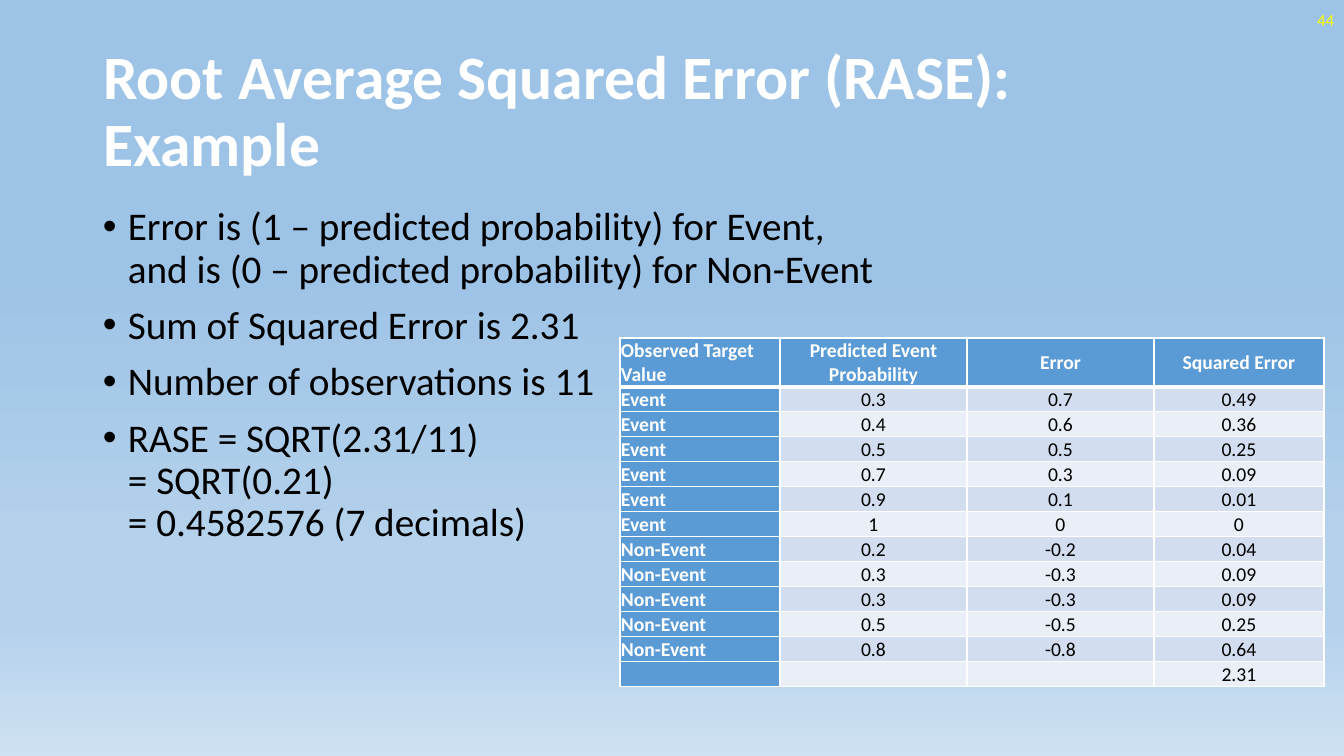
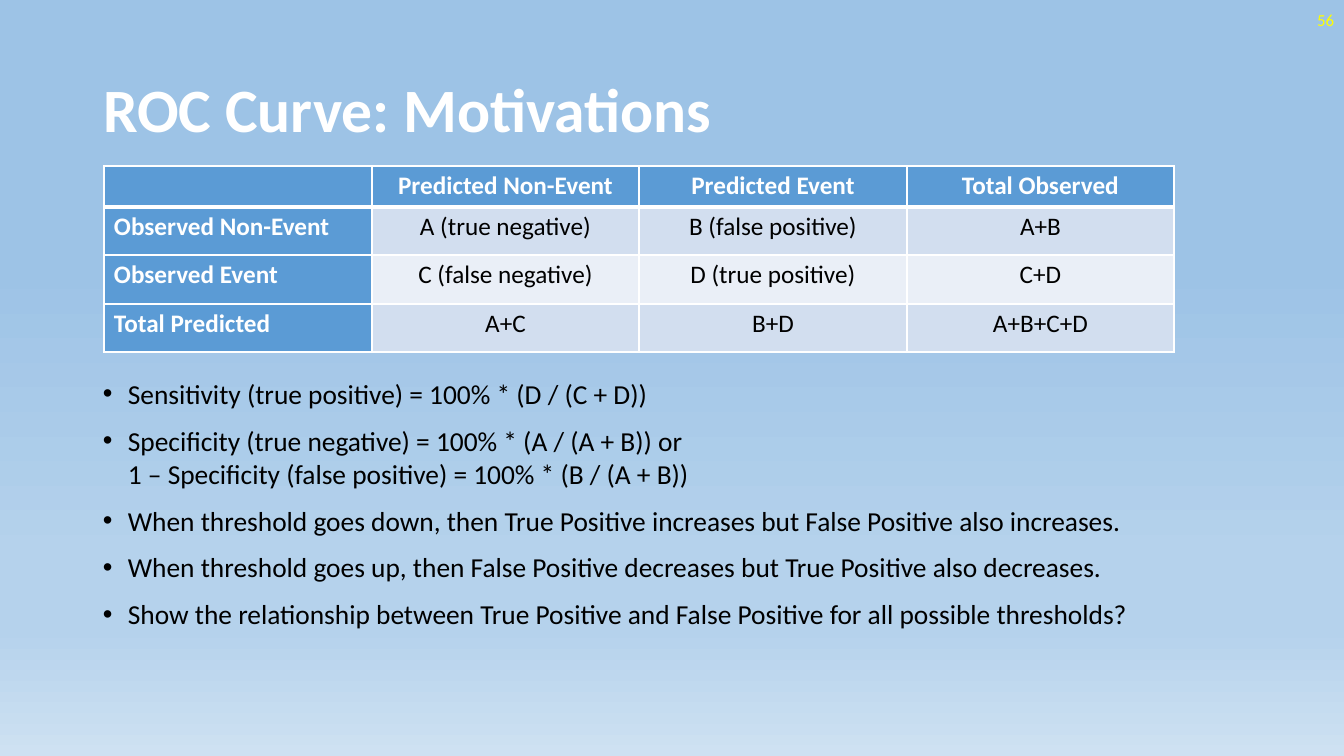
from lxml.etree import SubElement
from pptx import Presentation
from pptx.dml.color import RGBColor
from pptx.enum.text import MSO_ANCHOR, MSO_AUTO_SIZE, PP_ALIGN
from pptx.oxml.ns import qn
from pptx.util import Pt

WIDTH, HEIGHT = 1344, 756
SCALE = 12192000 / WIDTH
FONT = "Calibri"
COLORS = {
    "white": "FFFFFF", "black": "000000", "number": "FFFF00",
    "header": "5B9BD5", "band_dark": "D2DEEF", "band_light": "EAEFF7",
    "sky": "9DC3E6", "haze": "B5D2EC", "horizon": "CEE1F2",
}
BACKGROUND = [(35, "sky"), (74, "haze"), (83, "haze"), (100, "horizon")]


def px(n):
    return round(n * SCALE)


def add_color(parent, name):
    SubElement(parent, qn("a:srgbClr"), val=COLORS[name])


class Deck:
    """House style, plus the slide being filled."""

    def __init__(self):
        self.prs = Presentation()
        self.prs.slide_width, self.prs.slide_height = px(WIDTH), px(HEIGHT)
        self.paint_background()

    def paint_background(self):
        fill = self.prs.slide_master.background.fill
        fill.gradient()
        fill.gradient_angle = 270
        stops = self.prs.slide_master.element.find(".//" + qn("a:gsLst"))
        for stop in list(stops):
            stops.remove(stop)
        for pos, name in BACKGROUND:
            add_color(SubElement(stops, qn("a:gs"), pos=str(pos * 1000)), name)

    def new_slide(self, title, number):
        self.s = self.prs.slides.add_slide(self.prs.slide_layouts[5])
        self.title(title)
        self.number(number)

    def add_text(self, p, text, size, color, bold=False):
        """Add the text to the paragraph, with a line break at each newline."""
        for i, line in enumerate(text.split("\n")):
            if i:
                p.add_line_break()
            r = p.add_run()
            r.text = line
            r.font.name, r.font.size, r.font.bold = FONT, Pt(size), bold
            r.font.color.rgb = RGBColor.from_string(COLORS[color])

    def frame(self, sp, anchor):
        tf = sp.text_frame
        tf.word_wrap = True
        tf.auto_size = MSO_AUTO_SIZE.NONE
        tf.vertical_anchor = anchor
        return tf

    def text_box(self, x, y, w, h, anchor=MSO_ANCHOR.TOP):
        sp = self.s.shapes.add_textbox(px(x), px(y), px(w), px(h))
        return self.frame(sp, anchor)

    def title(self, text):
        sp = self.s.shapes.title
        sp.left, sp.top, sp.width, sp.height = px(93), px(40), px(1159), px(146)
        p = self.frame(sp, MSO_ANCHOR.MIDDLE).paragraphs[0]
        p.alignment, p.line_spacing = PP_ALIGN.LEFT, 0.9
        self.add_text(p, text, 44, "white", bold=True)

    def number(self, text):
        p = self.text_box(1041, 0, 303, 40, MSO_ANCHOR.MIDDLE).paragraphs[0]
        p.alignment = PP_ALIGN.RIGHT
        self.add_text(p, text, 12, "number")

    def bullets(self, x, y, w, h, items, size, spacing):
        tf = self.text_box(x, y, w, h)
        for i, item in enumerate(items):
            p = tf.add_paragraph() if i else tf.paragraphs[0]
            p.line_spacing = spacing
            if i:
                p.space_before = Pt(10)
            pPr = p._p.get_or_add_pPr()
            pPr.set("marL", str(px(25)))
            pPr.set("indent", str(-px(25)))
            SubElement(pPr, qn("a:buFont"), typeface="Arial")
            SubElement(pPr, qn("a:buChar"), char="•")
            self.add_text(p, item, size, "black")

    def table(self, x, y, cols, heights, rows, size, insets, anchor):
        """Insets are left, top, right and bottom."""
        frame = self.s.shapes.add_table(len(rows), len(cols), px(x), px(y),
                                        px(sum(cols)), px(sum(heights)))
        tbl = frame.table
        for col, w in zip(tbl.columns, cols):
            col.width = px(w)
        for row, h in zip(tbl.rows, heights):
            row.height = px(h)
        for i, row in enumerate(rows):
            for j, text in enumerate(row):
                cell = tbl.cell(i, j)
                (cell.margin_left, cell.margin_top,
                 cell.margin_right, cell.margin_bottom) = map(px, insets)
                cell.vertical_anchor = anchor
                self.cell(cell, i, j, text, size)

    def cell(self, cell, i, j, text, size):
        is_header = i == 0 or j == 0
        self.borders(cell, top=3 if i == 1 else 1, bottom=3 if i == 0 else 1)
        band = "band_dark" if i % 2 else "band_light"
        cell.fill.solid()
        cell.fill.fore_color.rgb = RGBColor.from_string(
            COLORS["header" if is_header else band])
        p = cell.text_frame.paragraphs[0]
        p.alignment = PP_ALIGN.CENTER if j else PP_ALIGN.LEFT
        if text:
            self.add_text(p, text, size, "white" if is_header else "black", is_header)
        else:
            SubElement(p._p, qn("a:endParaRPr"), sz=str(size * 100))

    def borders(self, cell, top, bottom):
        tcPr = cell._tc.get_or_add_tcPr()
        for side, width in (("L", 1), ("R", 1), ("T", top), ("B", bottom)):
            ln = SubElement(tcPr, qn("a:ln" + side), w=str(Pt(width)))
            add_color(SubElement(ln, qn("a:solidFill")), "white")


def rase_slide(deck):
    deck.new_slide("Root Average Squared Error (RASE): Example", "44")
    deck.bullets(93, 202, 1159, 480, [
        "Error is (1 – predicted probability) for Event,\n"
        "and is (0 – predicted probability) for Non-Event",
        "Sum of Squared Error is 2.31",
        "Number of observations is 11",
        "RASE = SQRT(2.31/11)\n= SQRT(0.21)\n= 0.4582576 (7 decimals)",
    ], 28, 0.9)
    rows = [
        ("Observed Target Value", "Predicted Event Probability", "Error", "Squared Error"),
        ("Event", "0.3", "0.7", "0.49"),
        ("Event", "0.4", "0.6", "0.36"),
        ("Event", "0.5", "0.5", "0.25"),
        ("Event", "0.7", "0.3", "0.09"),
        ("Event", "0.9", "0.1", "0.01"),
        ("Event", "1", "0", "0"),
        ("Non-Event", "0.2", "-0.2", "0.04"),
        ("Non-Event", "0.3", "-0.3", "0.09"),
        ("Non-Event", "0.3", "-0.3", "0.09"),
        ("Non-Event", "0.5", "-0.5", "0.25"),
        ("Non-Event", "0.8", "-0.8", "0.64"),
        ("", "", "", "2.31"),
    ]
    deck.table(620, 338, [160, 187, 187, 170], [48] + [25] * 12, rows, 14,
               (1, 1, 1, 0), MSO_ANCHOR.MIDDLE)


def roc_slide(deck):
    deck.new_slide("ROC Curve: Motivations", "56")
    deck.bullets(93, 372, 1082, 309, [
        "Sensitivity (true positive) = 100% * (D / (C + D))",
        "Specificity (true negative) = 100% * (A / (A + B)) or\n"
        "1 – Specificity (false positive) = 100% * (B / (A + B))",
        "When threshold goes down, then True Positive increases but False Positive also increases.",
        "When threshold goes up, then False Positive decreases but True Positive also decreases.",
        "Show the relationship between True Positive and False Positive for all possible thresholds?",
    ], 19.6, 1.0)
    rows = [
        ("", "Predicted Non-Event", "Predicted Event", "Total Observed"),
        ("Observed Non-Event", "A (true negative)", "B (false positive)", "A+B"),
        ("Observed Event", "C (false negative)", "D (true positive)", "C+D"),
        ("Total Predicted", "A+C", "B+D", "A+B+C+D"),
    ]
    deck.table(104, 166, [268, 267] * 2, [41, 48, 49, 48], rows, 18,
               (10, 5, 10, 5), MSO_ANCHOR.TOP)


def main():
    deck = Deck()
    rase_slide(deck)
    roc_slide(deck)
    deck.prs.save("out.pptx")


if __name__ == "__main__":
    main()
